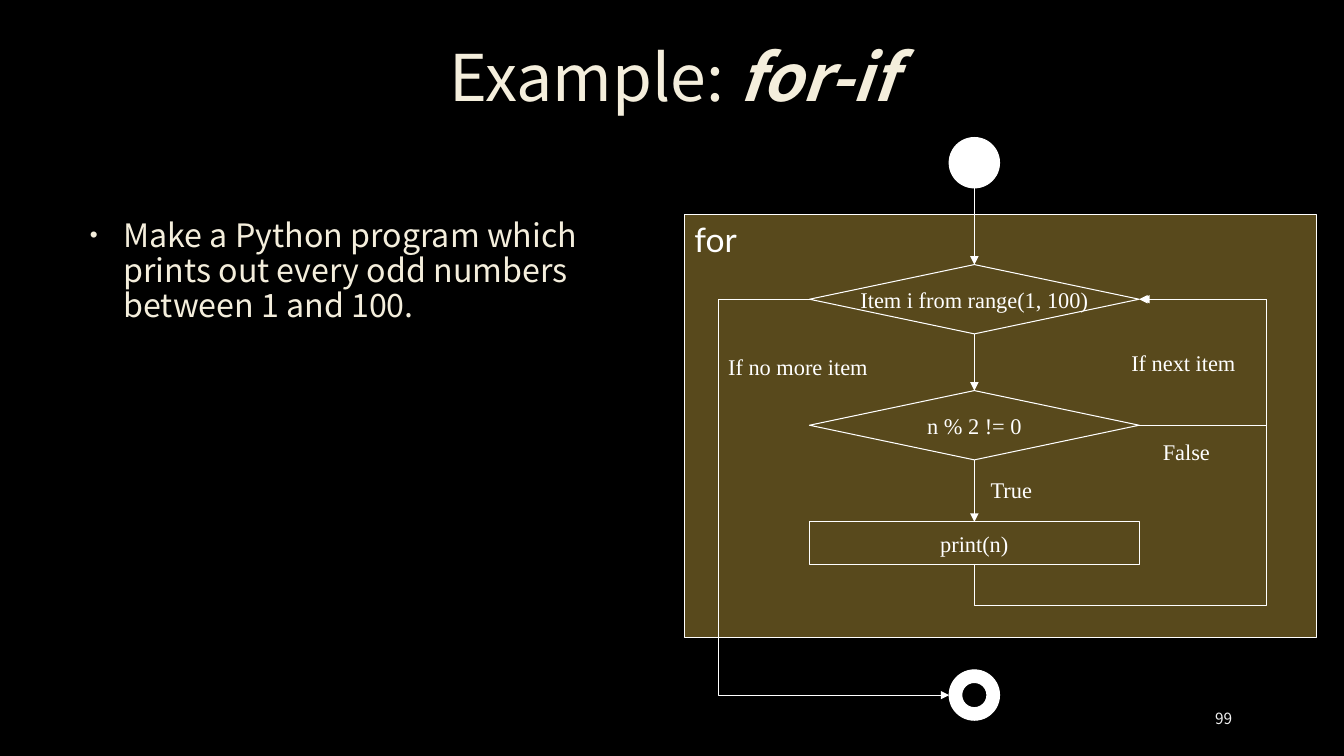
from dataclasses import dataclass

from lxml.etree import SubElement
from pptx import Presentation
from pptx.dml.color import RGBColor
from pptx.enum.shapes import MSO_CONNECTOR as Connector, MSO_SHAPE as Shape
from pptx.enum.text import MSO_ANCHOR as Anchor, MSO_AUTO_SIZE as AutoSize, PP_ALIGN as Align
from pptx.oxml.ns import qn
from pptx.util import Pt

PX = 9525  # EMU in one px, 96 px to the inch


@dataclass(frozen=True)
class Theme:
    background: str = "000000"
    cream: str = "F4EEDC"
    white: str = "FFFFFF"
    number: str = "F2F2F2"
    panel: str = "58491C"
    main_font: str = "Noto Sans CJK KR"
    panel_font: str = "Lato"
    chart_font: str = "Times New Roman"
    title_size: int = 46
    body_size: int = 23
    panel_size: int = 24
    chart_size: int = 16
    number_size: int = 11
    line_width: float = 0.75


THEME = Theme()


def px(*lengths):
    return [length * PX for length in lengths]


def style(paragraph, font_name, size, color, align=Align.LEFT):
    paragraph.alignment = align
    paragraph.font.name = font_name
    paragraph.font.size = Pt(size)
    paragraph.font.color.rgb = RGBColor.from_string(color)


def style_line(line):
    line.color.rgb = RGBColor.from_string(THEME.white)
    line.width = Pt(THEME.line_width)


def add_arrowhead(shape):
    line = shape.line._get_or_add_ln()
    SubElement(line, qn("a:tailEnd"), type="triangle")


def place(shape, left, top, width, height):
    shape.left, shape.top, shape.width, shape.height = px(left, top, width, height)


# Title and list

def fill_title(title, plain, emphasis):
    place(title, 97, 11, 1087, 132)
    frame = title.text_frame
    frame.auto_size = AutoSize.NONE
    frame.vertical_anchor = Anchor.MIDDLE
    paragraph = frame.paragraphs[0]
    paragraph.line_spacing = 0.9
    style(paragraph, THEME.main_font, THEME.title_size, THEME.cream, Align.CENTER)
    paragraph.add_run().text = plain
    run = paragraph.add_run()
    run.text = emphasis
    run.font.bold = run.font.italic = True


def fill_body(body, text):
    place(body, 72, 204, 510, 380)
    frame = body.text_frame
    frame.auto_size = AutoSize.NONE
    frame.vertical_anchor = Anchor.TOP
    paragraph = frame.paragraphs[0]
    paragraph.text = text
    properties = paragraph._p.get_or_add_pPr()
    properties.set("marL", str(36 * PX))
    properties.set("indent", str(-32 * PX))
    bullet_color = SubElement(properties, qn("a:buClr"))
    SubElement(bullet_color, qn("a:srgbClr"), val=THEME.cream)
    SubElement(properties, qn("a:buSzPct"), val="70000")
    SubElement(properties, qn("a:buChar"), char="•")
    paragraph.line_spacing = 0.91
    paragraph.space_before = Pt(2)
    paragraph.space_after = Pt(6)
    style(paragraph, THEME.main_font, THEME.body_size, THEME.cream)


# Flowchart parts

def add_node(slide, kind, left, top, width, height, fill=None, text=""):
    node = slide.shapes.add_shape(kind, *px(left, top, width, height))
    node.shadow.inherit = False
    if fill:
        node.fill.solid()
        node.fill.fore_color.rgb = RGBColor.from_string(fill)
    else:
        node.fill.background()
    style_line(node.line)
    if text:
        frame = node.text_frame
        frame.text = text
        frame.word_wrap = False
        frame.vertical_anchor = Anchor.MIDDLE
        style(frame.paragraphs[0], THEME.chart_font, THEME.chart_size, THEME.white, Align.CENTER)
    return node


def add_label(slide, text, left, top, width, height=36):
    label = slide.shapes.add_textbox(*px(left, top, width, height))
    frame = label.text_frame
    frame.text = text
    frame.word_wrap = True
    style(frame.paragraphs[0], THEME.chart_font, THEME.chart_size, THEME.white)
    return label


def add_down_arrow(slide, upper, lower, upper_site=None):
    center = upper.left + upper.width // 2
    arrow = slide.shapes.add_connector(
        Connector.STRAIGHT, center, upper.top + upper.height, center, lower.top)
    if upper_site is not None:
        arrow.begin_connect(upper, upper_site)
    arrow.end_connect(lower, 0)
    style_line(arrow.line)
    add_arrowhead(arrow)
    SubElement(arrow._element.spPr, qn("a:effectLst"))


def add_bent_arrow(slide, start, *corners):
    builder = slide.shapes.build_freeform(*start, scale=PX)
    builder.add_line_segments(corners, close=False)
    arrow = builder.convert_to_shape()
    arrow.shadow.inherit = False
    arrow.fill.background()
    style_line(arrow.line)
    add_arrowhead(arrow)


def add_flowchart(slide):
    center, node_left, node_width = 928, 771, 314
    node_right = node_left + node_width
    circle_size, diamond_height = 48, 66
    circle_left = center - circle_size // 2
    exit_x, return_x = 684, 1206
    item_top, test_top, print_top, print_height = 252, 372, 497, 41
    end_top = 638
    item_y = item_top + diamond_height // 2
    test_y = test_top + diamond_height // 2

    # Loop panel
    panel = add_node(slide, Shape.RECTANGLE, 652, 204, 602, 403, THEME.panel, "for")
    panel.text_frame.vertical_anchor = Anchor.TOP
    style(panel.text_frame.paragraphs[0], THEME.panel_font, THEME.panel_size, THEME.white)

    # Nodes
    start = add_node(slide, Shape.OVAL, circle_left, 131, circle_size, circle_size, THEME.white)
    add_node(slide, Shape.DONUT, circle_left, end_top, circle_size, circle_size, THEME.white)
    item = add_node(slide, Shape.DIAMOND, node_left, item_top, node_width, diamond_height,
                    text="Item i from range(1, 100)")
    test = add_node(slide, Shape.DIAMOND, node_left, test_top, node_width, diamond_height,
                    text="n % 2 != 0")
    output = add_node(slide, Shape.RECTANGLE, node_left, print_top, node_width, print_height,
                      text="print(n)")

    # Straight steps
    add_down_arrow(slide, start, item)
    add_down_arrow(slide, item, test, 2)
    add_down_arrow(slide, test, output, 2)

    # Exit, loop back and skip
    end_y = end_top + circle_size // 2
    add_bent_arrow(slide, (node_left, item_y), (exit_x, item_y), (exit_x, end_y),
                   (circle_left, end_y))
    add_bent_arrow(slide, (center, print_top + print_height), (center, 577), (return_x, 577),
                   (return_x, item_y), (node_right, item_y))
    add_bent_arrow(slide, (node_right, test_y), (return_x, test_y), (return_x, item_y),
                   (node_right + 2, item_y))

    # Branch labels
    add_label(slide, "If no more item", exit_x, 332, 277)
    add_label(slide, "If next item", 1068, 328, 171)
    add_label(slide, "False", 1098, 413, 121)
    add_label(slide, "True", 934, 449, 121)


def main():
    presentation = Presentation()
    presentation.slide_width, presentation.slide_height = px(1280, 720)
    slide = presentation.slides.add_slide(presentation.slide_layouts[1])
    slide.background.fill.solid()
    slide.background.fill.fore_color.rgb = RGBColor.from_string(THEME.background)

    fill_title(slide.shapes.title, "Example: ", "for-if")
    fill_body(slide.placeholders[1],
              "Make a Python program which prints out every odd numbers between 1 and 100.")
    add_flowchart(slide)

    # Page number
    number = add_label(slide, "99", 1104, 665, 79, 38)
    number.text_frame.vertical_anchor = Anchor.MIDDLE
    style(number.text_frame.paragraphs[0], THEME.main_font, THEME.number_size, THEME.number,
          Align.RIGHT)

    presentation.save("out.pptx")


if __name__ == "__main__":
    main()
